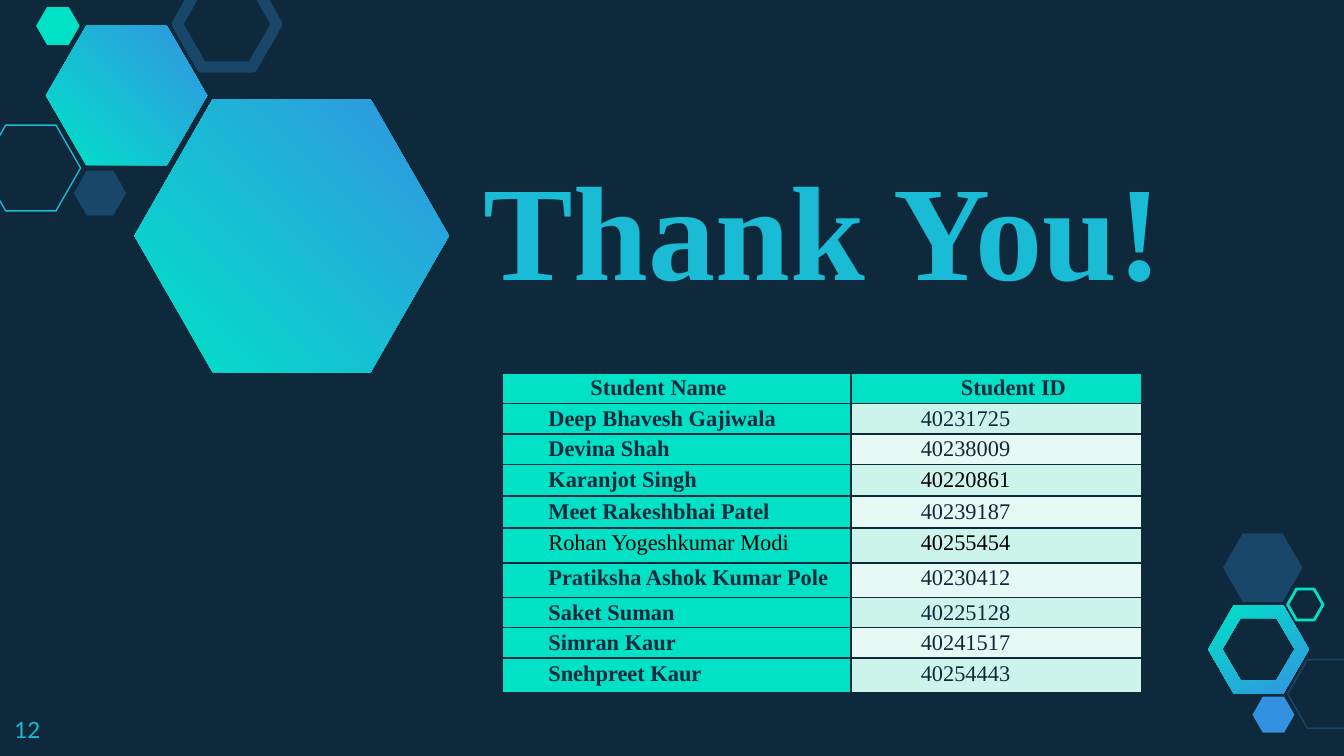
from lxml import etree
from pptx import Presentation
from pptx import util as u
from pptx.dml.color import RGBColor
from pptx.enum import shapes, text
from pptx.oxml.ns import qn

Pt = u.Pt
COLORS = {
    "navy": "0E293C", "steel": "184769", "cyan": "19BBD5", "mint": "00E1C6",
    "blue": "3292E1", "black": "000000", "band_dark": "CCF4EA", "band_light": "E7F9F5",
    "grad_mint": "00E2C7", "grad_blue": "3393E2",
}
SERIF = "Times New Roman"

# left, top, width, height, fill, line, line width
SMALL_HEXAGONS = [
    (-10.1, 67, 53.3, 46, None, "cyan", 0.75),
    (39.6, 91.4, 28, 24, "steel", None, 0),
    (95, -10.1, 53.3, 46, None, "steel", 6),
    (19.4, 3.8, 23.3, 20.2, "mint", None, 0),
    (689.8, 353.4, 42.5, 36.7, None, "steel", 0.75),
    (671, 373.2, 22.5, 19.4, "blue", None, 0),
    (655.2, 285.8, 42.5, 36.7, "steel", None, 0),
    (689.8, 315.6, 19, 16.6, None, "mint", 1.5),
]

# name, ID, name colour, bold name, ID colour, row height
STUDENTS = [
    ("Deep Bhavesh Gajiwala", "40231725", "navy", True, "navy", 16.4),
    ("Devina Shah", "40238009", "navy", True, "navy", 16.4),
    ("Karanjot Singh", "40220861", "navy", True, "black", 17),
    ("Meet Rakeshbhai Patel", "40239187", "navy", True, "navy", 17),
    ("Rohan Yogeshkumar Modi", "40255454", "black", False, "black", 18.7),
    ("Pratiksha Ashok Kumar Pole", "40230412", "navy", True, "navy", 18.7),
    ("Saket Suman", "40225128", "navy", True, "navy", 14.5),
    ("Simran Kaur", "40241517", "navy", True, "navy", 16.4),
    ("Snehpreet Kaur", "40254443", "navy", True, "navy", 18.4),
]


def rgb(name):
    return RGBColor.from_string(COLORS[name])


def write(frame, content, size=12, font=SERIF, color="navy", bold=False,
          margins=(7.2, 7.2, 7.2, 7.2), indent=0, spacing=1.0):
    """Put one formatted paragraph into a text frame."""
    frame.word_wrap = True
    frame.margin_left, frame.margin_top, frame.margin_right, frame.margin_bottom = map(Pt, margins)
    para = frame.paragraphs[0]
    para.alignment = text.PP_ALIGN.LEFT
    para.line_spacing = spacing
    para._p.get_or_add_pPr().set("marL", str(Pt(indent)))
    span = para.add_run()
    span.text = content
    span.font.size, span.font.name, span.font.bold = Pt(size), font, bold
    span.font.color.rgb = rgb(color)


def add_hexagon(page, left, top, width, height, fill, line, line_width):
    shape = page.shapes.add_shape(shapes.MSO_SHAPE.HEXAGON,
                                  Pt(left), Pt(top), Pt(width), Pt(height))
    shape.adjustments[0] = 0.287
    shape.shadow.inherit = False
    if fill:
        shape.fill.solid()
        shape.fill.fore_color.rgb = rgb(fill)
    else:
        shape.fill.background()
    if line:
        shape.line.color.rgb = rgb(line)
        shape.line.width = Pt(line_width)
    else:
        shape.line.fill.background()


def hexagon_points(left, top, width, height, inset):
    right, bottom, middle = left + width, top + height, top + height / 2
    corners = [(left, middle), (left + inset, top), (right - inset, top),
               (right, middle), (right - inset, bottom), (left + inset, bottom)]
    return [(Pt(x), Pt(y)) for x, y in corners]


def add_gradient_hexagon(page, outer, angle, hole=None):
    points = hexagon_points(*outer)
    builder = page.shapes.build_freeform(*points[0])
    builder.add_line_segments(points[1:])
    if hole:
        # The hole runs the other way round
        points = hexagon_points(*hole)[::-1]
        builder.move_to(*points[0])
        builder.add_line_segments(points[1:])
    shape = builder.convert_to_shape()
    shape.shadow.inherit = False
    shape.line.fill.background()
    shape.fill.gradient()
    shape.fill.gradient_angle = angle
    for stop, color in zip(shape.fill.gradient_stops, ("grad_mint", "grad_blue")):
        stop.color.rgb = rgb(color)


def format_cell(cell, content, fill, **style):
    write(cell.text_frame, content, spacing=1.07, **style)
    cell.margin_left, cell.margin_top = Pt(5), Pt(0.7)
    cell.margin_right, cell.margin_bottom = Pt(5.8), Pt(0)
    props = cell._tc.get_or_add_tcPr()
    for side in ("a:lnL", "a:lnR", "a:lnT", "a:lnB"):
        line = etree.SubElement(props, qn(side), w=str(Pt(1)))
        solid = etree.SubElement(line, qn("a:solidFill"))
        etree.SubElement(solid, qn("a:srgbClr"), val=COLORS["navy"])
    cell.fill.solid()
    cell.fill.fore_color.rgb = rgb(fill)


def add_student_table(page):
    heights = [16.4] + [student[-1] for student in STUDENTS]
    table = page.shapes.add_table(len(heights), 2, Pt(269.3), Pt(199.7),
                                  Pt(342.5), Pt(sum(heights))).table
    table.first_row = table.horz_banding = False
    table.columns[0].width, table.columns[1].width = Pt(186.5), Pt(156)
    for row, height in zip(table.rows, heights):
        row.height = Pt(height)

    format_cell(table.cell(0, 0), "Student Name", "mint", bold=True, indent=42)
    format_cell(table.cell(0, 1), "Student ID", "mint", bold=True, indent=54)
    for row, (name, number, name_color, bold, id_color, _) in enumerate(STUDENTS, 1):
        format_cell(table.cell(row, 0), name, "mint", color=name_color, bold=bold, indent=19.5)
        format_cell(table.cell(row, 1), number, "band_dark" if row % 2 else "band_light",
                    color=id_color, indent=32.5)


def main():
    deck = Presentation()
    deck.slide_width, deck.slide_height = Pt(720), Pt(405)
    page = deck.slides.add_slide(deck.slide_layouts[5])
    page.background.fill.solid()
    page.background.fill.fore_color.rgb = rgb("navy")

    # Hexagon decoration
    add_gradient_hexagon(page, (647.2, 324.4, 54, 47, 13.6), 300,
                         hole=(654.8, 331.2, 38.8, 33.2, 9.8))
    add_gradient_hexagon(page, (24.6, 13.9, 86.4, 74.6, 21.6), 45)
    for hexagon in SMALL_HEXAGONS:
        add_hexagon(page, *hexagon)
    add_gradient_hexagon(page, (72, 53.1, 168.5, 146.5, 42), 45)

    # Title
    title = page.shapes.title
    title.left, title.top, title.width, title.height = Pt(252), Pt(80.6), Pt(400.3), Pt(91.4)
    title.text_frame.auto_size = text.MSO_AUTO_SIZE.NONE
    title.text_frame.vertical_anchor = text.MSO_ANCHOR.BOTTOM
    write(title.text_frame, "Thank You!", size=72, color="cyan", bold=True)

    # Slide number
    box = page.shapes.add_textbox(Pt(0.7), Pt(376.6), Pt(43.2), Pt(28))
    write(box.text_frame, "12", font="Lato", color="cyan")

    # Team list
    add_student_table(page)
    deck.save("out.pptx")


if __name__ == "__main__":
    main()
